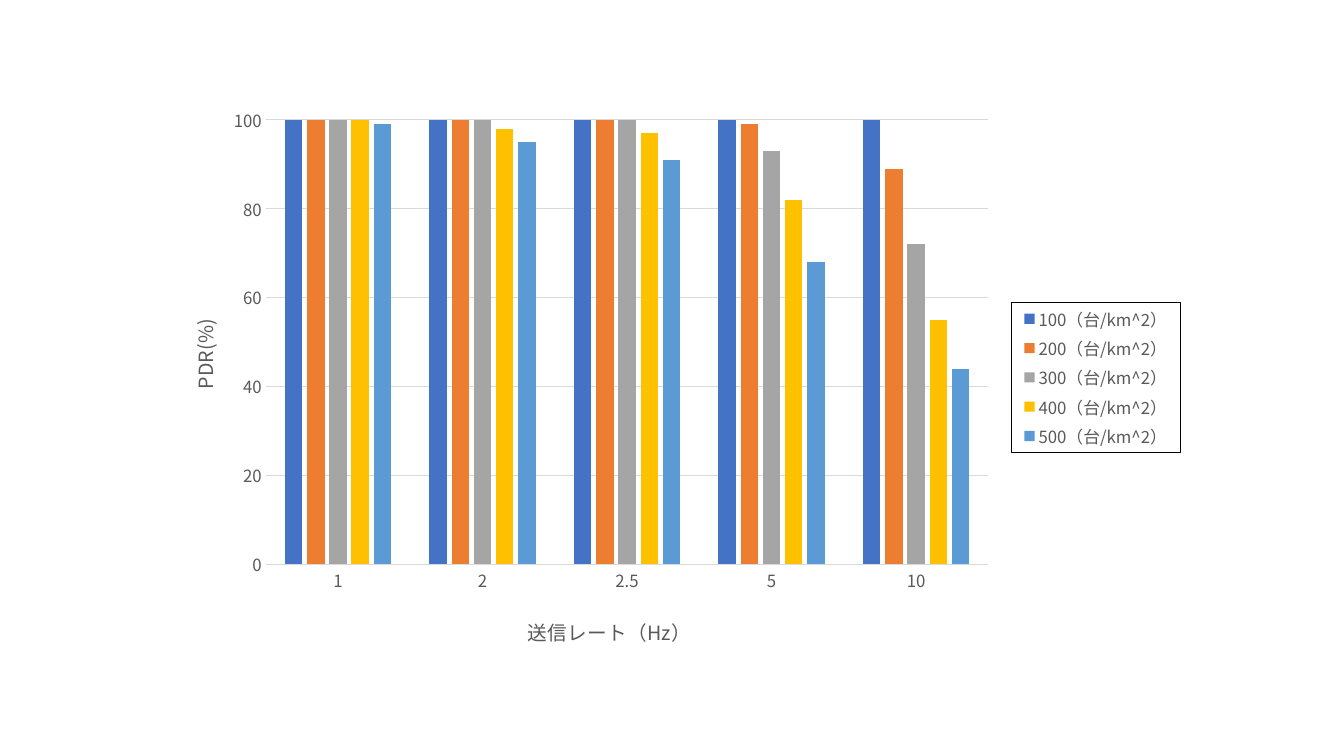
import pptx
import pptx.chart.data
import pptx.dml.color
import pptx.enum.chart
import pptx.oxml
import pptx.oxml.ns
import pptx.util

Inches = pptx.util.Inches
Pt = pptx.util.Pt
qn = pptx.oxml.ns.qn
NAMESPACES = pptx.oxml.ns.nsdecls("c", "a")

COLORS = {
    "blue": "4472C4",
    "orange": "ED7D31",
    "gray": "A5A5A5",
    "yellow": "FFC000",
    "sky": "5B9BD5",
    "text": "595959",
    "grid": "D9D9D9",
    "border": "000000",
}

TRANSMISSION_RATES = ["1", "2", "2.5", "5", "10"]
DELIVERY_BY_DENSITY = {
    100: ("blue", (100, 100, 100, 100, 100)),
    200: ("orange", (100, 100, 100, 99, 89)),
    300: ("gray", (100, 100, 100, 93, 72)),
    400: ("yellow", (100, 98, 97, 82, 55)),
    500: ("sky", (99, 95, 91, 68, 44)),
}


class ChartSlide:
    font_name = "Noto Sans CJK JP"

    def __init__(self, presentation):
        self.slide = presentation.slides.add_slide(presentation.slide_layouts[6])

    def color(self, name):
        return pptx.dml.color.RGBColor.from_string(COLORS[name])

    def style_font(self, font, size):
        font.name = self.font_name
        font.size = Pt(size)
        font.bold = False
        font.color.rgb = self.color("text")

    def style_line(self, line):
        line.color.rgb = self.color("grid")
        line.width = Pt(0.75)

    def layout(self, x, y, width=None, height=None, inner=False):
        target = '<c:layoutTarget val="inner"/>' if inner else ""
        modes = '<c:xMode val="edge"/><c:yMode val="edge"/>'
        sizes = f'<c:w val="{width}"/><c:h val="{height}"/>' if width else ""
        return pptx.oxml.parse_xml(
            f"<c:layout {NAMESPACES}><c:manualLayout>{target}{modes}"
            f'<c:x val="{x}"/><c:y val="{y}"/>{sizes}</c:manualLayout></c:layout>'
        )

    def column_chart(self, left, top, width, height):
        data = pptx.chart.data.CategoryChartData()
        data.categories = TRANSMISSION_RATES
        for density, (_, values) in DELIVERY_BY_DENSITY.items():
            data.add_series(f"{density}（台/km^2）", values)
        chart = self.slide.shapes.add_chart(
            pptx.enum.chart.XL_CHART_TYPE.COLUMN_CLUSTERED,
            Inches(left), Inches(top), Inches(width), Inches(height), data,
        ).chart
        chart.has_title = False
        self.style_font(chart.font, 10)
        plot = chart.plots[0]
        plot.gap_width = 219
        plot.overlap = -27
        plot.vary_by_categories = False
        for series, (color_name, _) in zip(plot.series, DELIVERY_BY_DENSITY.values()):
            series.format.fill.solid()
            series.format.fill.fore_color.rgb = self.color(color_name)
        plot_area = chart.element.find(".//" + qn("c:plotArea"))
        for automatic_layout in plot_area.findall(qn("c:layout")):
            plot_area.remove(automatic_layout)
        plot_area.insert(0, self.layout(0.106, 0.041, 0.70, 0.79, inner=True))
        return chart

    def axis(self, axis, title, x, y):
        axis.major_tick_mark = pptx.enum.chart.XL_TICK_MARK.NONE
        axis.minor_tick_mark = pptx.enum.chart.XL_TICK_MARK.NONE
        self.style_font(axis.tick_labels.font, 12)
        run = axis.axis_title.text_frame.paragraphs[0].add_run()
        run.text = title
        self.style_font(run.font, 14)
        title_text = axis.axis_title.element.find(qn("c:tx")) if hasattr(
            axis.axis_title, "element"
        ) else axis.axis_title._element.find(qn("c:tx"))
        title_element = title_text.getparent()
        for automatic_layout in title_element.findall(qn("c:layout")):
            title_element.remove(automatic_layout)
        title_text.addnext(self.layout(x, y))

    def value_scale(self, axis):
        axis.minimum_scale = 0
        axis.maximum_scale = 100
        axis.major_unit = 20
        axis.has_major_gridlines = True
        self.style_line(axis.major_gridlines.format.line)
        axis.format.line.fill.background()
        axis.tick_labels.number_format = "General"
        axis.tick_labels.number_format_is_linked = False

    def legend(self, chart):
        chart.has_legend = True
        chart.legend.position = pptx.enum.chart.XL_LEGEND_POSITION.RIGHT
        chart.legend.include_in_layout = False
        self.style_font(chart.legend.font, 12)
        legend = chart.element.find(".//" + qn("c:legend"))
        for automatic_layout in legend.findall(qn("c:layout")):
            legend.remove(automatic_layout)
        legend.find(qn("c:legendPos")).addnext(self.layout(0.828, 0.365, 0.164, 0.268))
        legend.find(qn("c:overlay")).addnext(pptx.oxml.parse_xml(
            f'<c:spPr {NAMESPACES}><a:noFill/><a:ln w="9525"><a:solidFill>'
            f'<a:srgbClr val="{COLORS["border"]}"/></a:solidFill></a:ln></c:spPr>'
        ))

    def east_asian_font(self, chart):
        for latin in list(chart.element.iter(qn("a:latin"))):
            latin.addnext(pptx.oxml.parse_xml(
                f'<a:ea {NAMESPACES} typeface="{self.font_name}"/>'
            ))


def main():
    presentation = pptx.Presentation()
    presentation.slide_width = Inches(13.33)
    presentation.slide_height = Inches(7.5)
    delivery_slide = ChartSlide(presentation)
    chart = delivery_slide.column_chart(1.55, 0.96, 10.24, 5.58)
    delivery_slide.axis(chart.category_axis, "送信レート（Hz）", 0.356, 0.915)
    delivery_slide.style_line(chart.category_axis.format.line)
    delivery_slide.axis(chart.value_axis, "PDR(%)", 0.027, 0.388)
    delivery_slide.value_scale(chart.value_axis)
    delivery_slide.legend(chart)
    delivery_slide.east_asian_font(chart)
    presentation.save("out.pptx")


if __name__ == "__main__":
    main()
